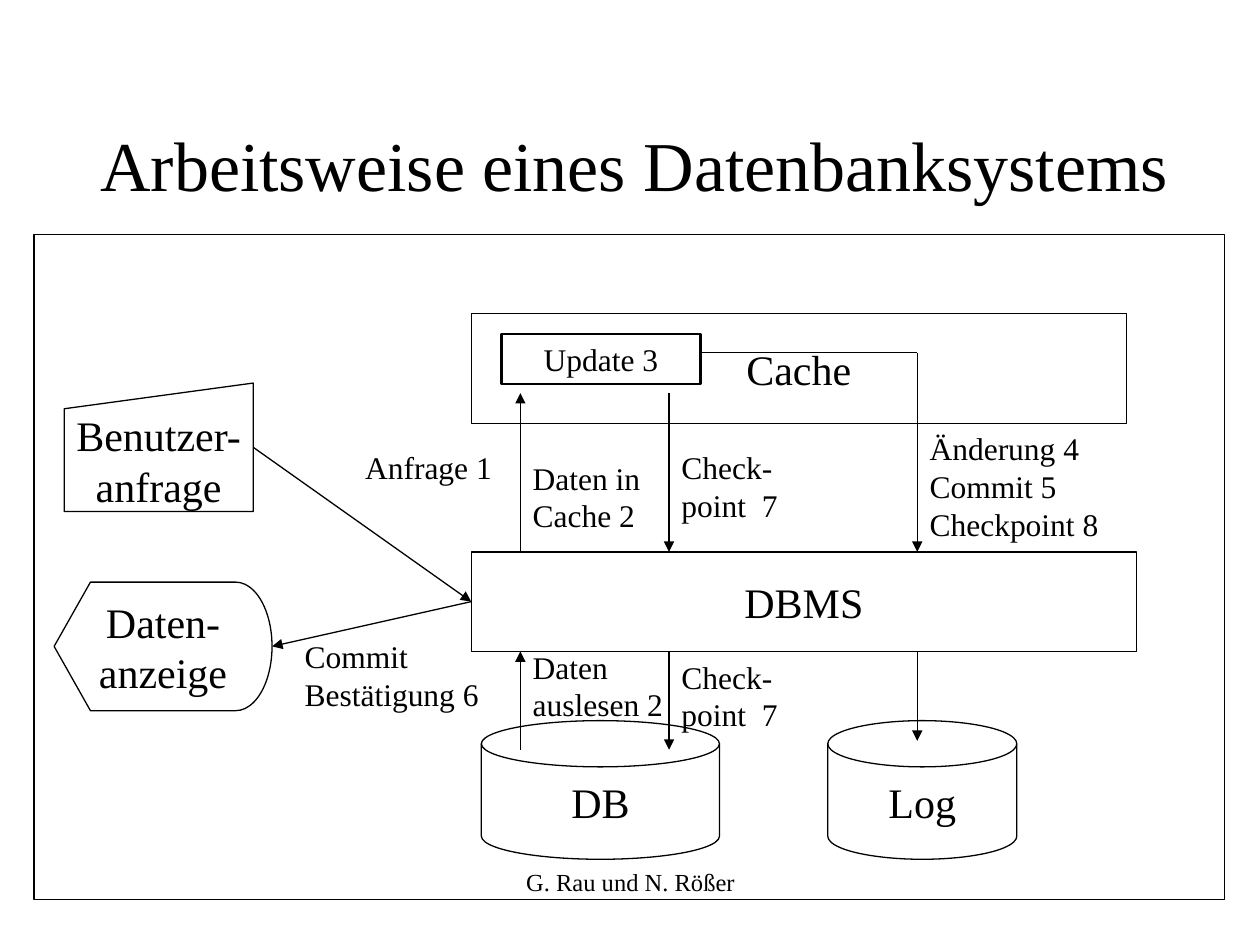
from pptx import Presentation
from pptx.dml.color import RGBColor
from pptx.enum.shapes import MSO_CONNECTOR, MSO_SHAPE as SHAPE
from pptx.enum.text import MSO_ANCHOR as ANCHOR, PP_ALIGN as ALIGN
from pptx.oxml.ns import qn
from pptx.util import Inches, Pt
from lxml import etree

COLORS = {"ink": "000000", "paper": "FFFFFF"}
FONT = "Times New Roman"
INK = RGBColor.from_string(COLORS["ink"])


def write_text(shape, text, size, align, anchor, wrap=True):
    """Blank line starts a paragraph, single newline is a line break."""
    frame = shape.text_frame
    frame.word_wrap = wrap
    frame.vertical_anchor = anchor
    for i, block in enumerate(text.split("\n\n")):
        paragraph = frame.add_paragraph() if i else frame.paragraphs[0]
        paragraph.alignment = align
        for j, line in enumerate(block.split("\n")):
            if j:
                paragraph.add_line_break()
            run = paragraph.add_run()
            run.text = line
            run.font.name = FONT
            run.font.size = Pt(size)
            run.font.color.rgb = INK


def add_line(start, end, arrow=True):
    connector = slide.shapes.add_connector(
        MSO_CONNECTOR.STRAIGHT, *[Inches(v) for v in (*start, *end)])
    connector.line.color.rgb = INK
    connector.line.width = Pt(0.75)
    if arrow:
        line = connector.line._get_or_add_ln()
        etree.SubElement(line, qn("a:tailEnd"), type="triangle")
    etree.SubElement(connector._element.spPr, qn("a:effectLst"))
    return connector


presentation = Presentation()
presentation.slide_width = Inches(10)
presentation.slide_height = Inches(7.5)
slide = presentation.slides.add_slide(presentation.slide_layouts[6])
slide.background.fill.solid()
slide.background.fill.fore_color.rgb = RGBColor.from_string(COLORS["paper"])

# Footer and title
headings = [
    ("G. Rau und N. Rößer", (3.42, 6.83, 3.17, 0.5), 14, ANCHOR.TOP),
    ("Arbeitsweise eines Datenbanksystems", (0.43, 0.67, 9.21, 1.25), 40, ANCHOR.MIDDLE),
]
for text, box, size, anchor in headings:
    heading = slide.shapes.add_textbox(*[Inches(v) for v in box])
    write_text(heading, text, size, ALIGN.CENTER, anchor)

# Frame and components of the database system
components = [
    ("", SHAPE.RECTANGLE, (0.27, 1.86, 9.45, 5.28)),
    ("DB", SHAPE.FLOWCHART_MAGNETIC_DISK, (3.82, 5.72, 1.89, 1.1)),
    ("Log", SHAPE.FLOWCHART_MAGNETIC_DISK, (6.57, 5.72, 1.5, 1.1)),
    ("DBMS", SHAPE.RECTANGLE, (3.74, 4.38, 5.28, 0.79)),
    ("Cache", SHAPE.RECTANGLE, (3.74, 2.49, 5.2, 0.87)),
    ("Benutzer-\n\nanfrage", SHAPE.FLOWCHART_MANUAL_INPUT, (0.51, 3.04, 1.5, 1.02)),
    ("Daten-\n\nanzeige", SHAPE.FLOWCHART_DISPLAY, (0.43, 4.62, 1.73, 1.02)),
    ("Update 3", SHAPE.RECTANGLE, (3.98, 2.65, 1.58, 0.4)),
]
shapes = []
for text, preset, box in components:
    shape = slide.shapes.add_shape(preset, *[Inches(v) for v in box])
    shape.shadow.inherit = False
    shape.fill.background()
    shape.line.color.rgb = INK
    is_update = text == "Update 3"
    shape.line.width = Pt(1.25 if is_update else 0.75)
    if text:
        write_text(shape, text, 18 if is_update else 24, ALIGN.CENTER,
                   ANCHOR.TOP if is_update else ANCHOR.MIDDLE, wrap=is_update)
    shapes.append(shape)
frame, database, log, dbms, cache, user_request, data_display, update = shapes

# Request to the DBMS and answer to the display
request = add_line((2.01, 3.55), (3.74, 4.78))
request.begin_connect(user_request, 3)
request.end_connect(dbms, 1)
answer = add_line((3.74, 4.78), (2.16, 5.13))
answer.begin_connect(dbms, 1)
answer.end_connect(data_display, 3)

# Vertical data flows between cache, DBMS and storage
read_x, checkpoint_x, log_x = 4.13, 5.31, 7.28
update_y, cache_y, dbms_top, dbms_bottom, db_y = 2.8, 3.12, 4.38, 5.17, 5.95
flows = [
    (checkpoint_x, dbms_bottom, db_y),
    (read_x, db_y, dbms_bottom),
    (read_x, dbms_top, cache_y),
    (checkpoint_x, cache_y, dbms_top),
    (log_x, update_y, dbms_top),
    (log_x, dbms_bottom, 5.88),
]
for x, start_y, end_y in flows:
    add_line((x, start_y), (x, end_y))
add_line((5.55, update_y), (log_x, update_y), arrow=False)

# Step labels
labels = [
    ("Anfrage 1", (2.8, 3.51, 1.26, 0.4)),
    ("Daten auslesen 2", (read_x, 5.09, 1.26, 0.7)),
    ("Commit\nBestätigung 6", (2.32, 5.01, 1.73, 0.7)),
    ("Daten in Cache 2", (read_x, 3.59, 1.26, 0.7)),
    ("Check-\npoint  7", (checkpoint_x, 3.51, 1.5, 0.7)),
    ("Check-\npoint  7", (checkpoint_x, 5.17, 1.42, 0.7)),
    ("Änderung 4\nCommit 5\nCheckpoint 8", (log_x, 3.36, 1.73, 1)),
]
for text, box in labels:
    label = slide.shapes.add_textbox(*[Inches(v) for v in box])
    write_text(label, text, 18, ALIGN.LEFT, ANCHOR.TOP)

presentation.save("out.pptx")
